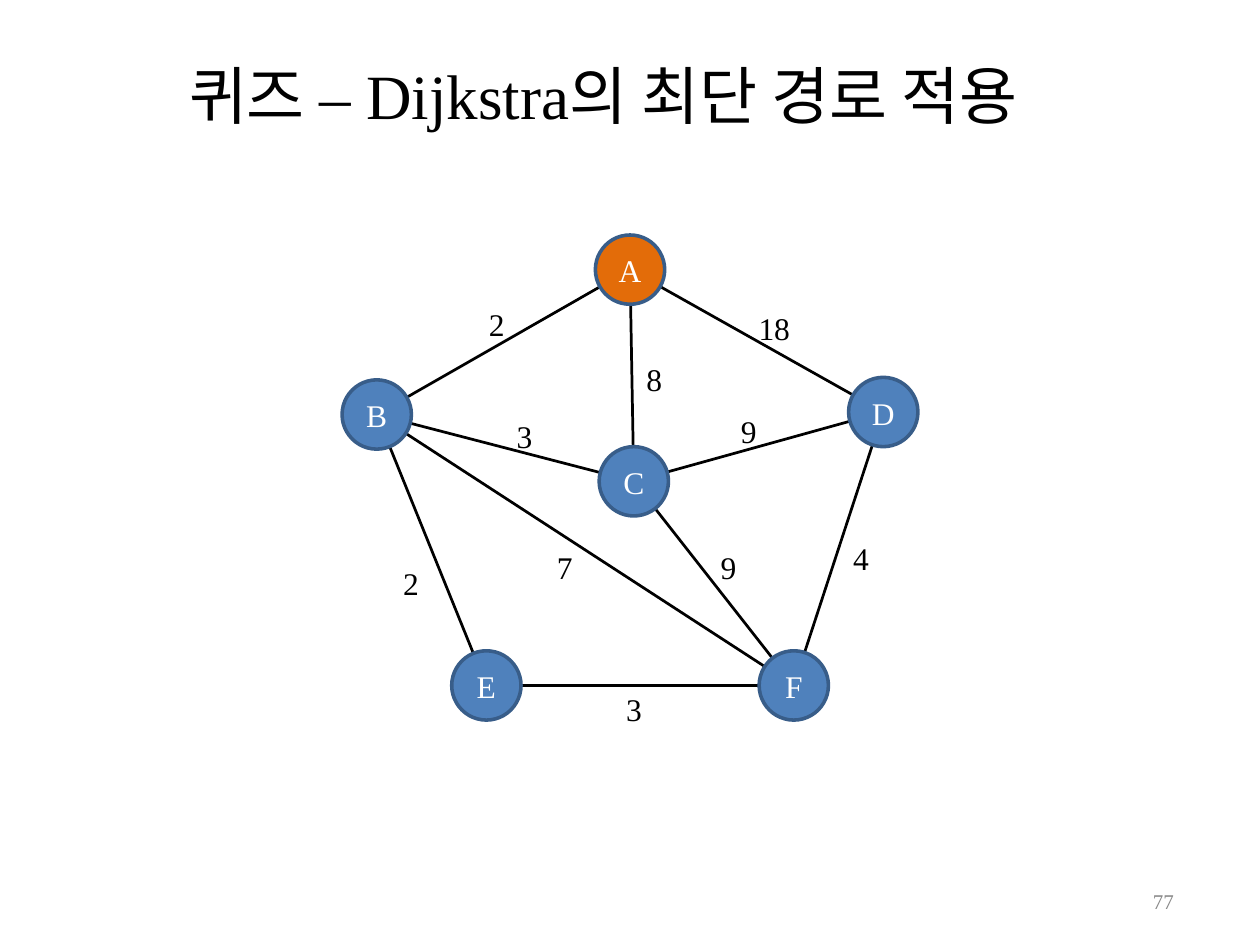
"""Build the quiz slide on Dijkstra's shortest paths: a weighted graph of six nodes."""
import pptx
import pptx.util
import pptx.dml.color
import pptx.enum.shapes
import pptx.enum.text
import pptx.oxml.ns
import lxml.etree

Inches, Pt = pptx.util.Inches, pptx.util.Pt
RGB = pptx.dml.color.RGBColor.from_string
qn = pptx.oxml.ns.qn

THEME = {
    "latin": "Times New Roman", "korean": "Noto Sans CJK KR",
    "ink": "000000", "node_text": "FFFFFF", "number": "888888",
    "start": "E36C09", "node": "4F81BC", "outline": "385D89",
    "title_size": 36, "graph_size": 18, "number_size": 12,
    "edge_width": 1.56, "outline_width": 2.04,
}
FRAME = {"margin_left": 0, "margin_right": 0, "margin_top": Inches(0.01),
         "margin_bottom": 0, "word_wrap": True}
DIAMETER = 0.55

nodes = {"A": (5.0, 2.14), "B": (2.99, 3.29), "C": (5.03, 3.82),
         "D": (7.01, 3.27), "E": (3.86, 5.44), "F": (6.3, 5.44)}
edges = [("A", "B", "2", 3.88, 2.41), ("A", "D", "18", 6.02, 2.44),
         ("C", "B", "3", 4.1, 3.3), ("D", "C", "9", 5.88, 3.26),
         ("E", "B", "2", 3.2, 4.47), ("F", "E", "3", 4.97, 5.47),
         ("D", "F", "4", 6.77, 4.27), ("F", "C", "9", 5.72, 4.34),
         ("F", "B", "7", 4.42, 4.34), ("A", "C", "8", 5.13, 2.85)]


def write(shape, runs, size, color):
    """Fill the shape's first paragraph with (text, font) runs and return it."""
    for name, value in FRAME.items():
        setattr(shape.text_frame, name, value)
    paragraph = shape.text_frame.paragraphs[0]
    paragraph.space_before = Pt(1)
    for text, face in runs:
        run = paragraph.add_run()
        run.text = text
        run.font.size, run.font.name = Pt(size), face
        run.font.color.rgb = RGB(color)
        east_asian = lxml.etree.SubElement(run.font._element, qn("a:ea"))
        east_asian.set("typeface", face)
    return paragraph


def add_text(left, top, width, height, runs, size, color):
    """Add a text box and return its paragraph."""
    box = slide.shapes.add_textbox(*map(Inches, (left, top, width, height)))
    return write(box, runs, size, color)


deck = pptx.Presentation()
deck.slide_width, deck.slide_height = Inches(10), Inches(7.5)
slide = deck.slides.add_slide(deck.slide_layouts[6])

for start, end, *_ in edges:
    edge = slide.shapes.add_connector(
        pptx.enum.shapes.MSO_CONNECTOR.STRAIGHT,
        *map(Inches, nodes[start] + nodes[end]))
    edge.line.color.rgb = RGB(THEME["ink"])
    edge.line.width = Pt(THEME["edge_width"])
    lxml.etree.SubElement(edge._element.spPr, qn("a:effectLst"))

add_text(1.5, 0.44, 7.02, 0.63,
         [("퀴즈 ", THEME["korean"]), ("– ", THEME["latin"]),
          ("Dijkstra", THEME["latin"]), ("의 최단 경로 적용", THEME["korean"])],
         THEME["title_size"], THEME["ink"])

for letter, (x, y) in nodes.items():
    node = slide.shapes.add_shape(
        pptx.enum.shapes.MSO_SHAPE.OVAL, Inches(x - DIAMETER / 2),
        Inches(y - DIAMETER / 2), Inches(DIAMETER), Inches(DIAMETER))
    node.shadow.inherit = False
    node.fill.solid()
    node.fill.fore_color.rgb = RGB(THEME["start" if letter == "A" else "node"])
    node.line.color.rgb = RGB(THEME["outline"])
    node.line.width = Pt(THEME["outline_width"])
    name = write(node, [(letter, THEME["latin"])],
                 THEME["graph_size"], THEME["node_text"])
    name.alignment = pptx.enum.text.PP_ALIGN.CENTER
    node.text_frame.vertical_anchor = pptx.enum.text.MSO_ANCHOR.MIDDLE

for _, _, weight, left, top in edges:
    add_text(left, top, 0.02 + 0.13 * len(weight), 0.33, [(weight, THEME["latin"])],
             THEME["graph_size"], THEME["ink"])

page_number = add_text(9.15, 7.05, 0.28, 0.21, [("77", THEME["latin"])],
                       THEME["number_size"], THEME["number"])
page_number.space_before = Pt(0)
page_number.line_spacing = Pt(14.1)

deck.save("out.pptx")
